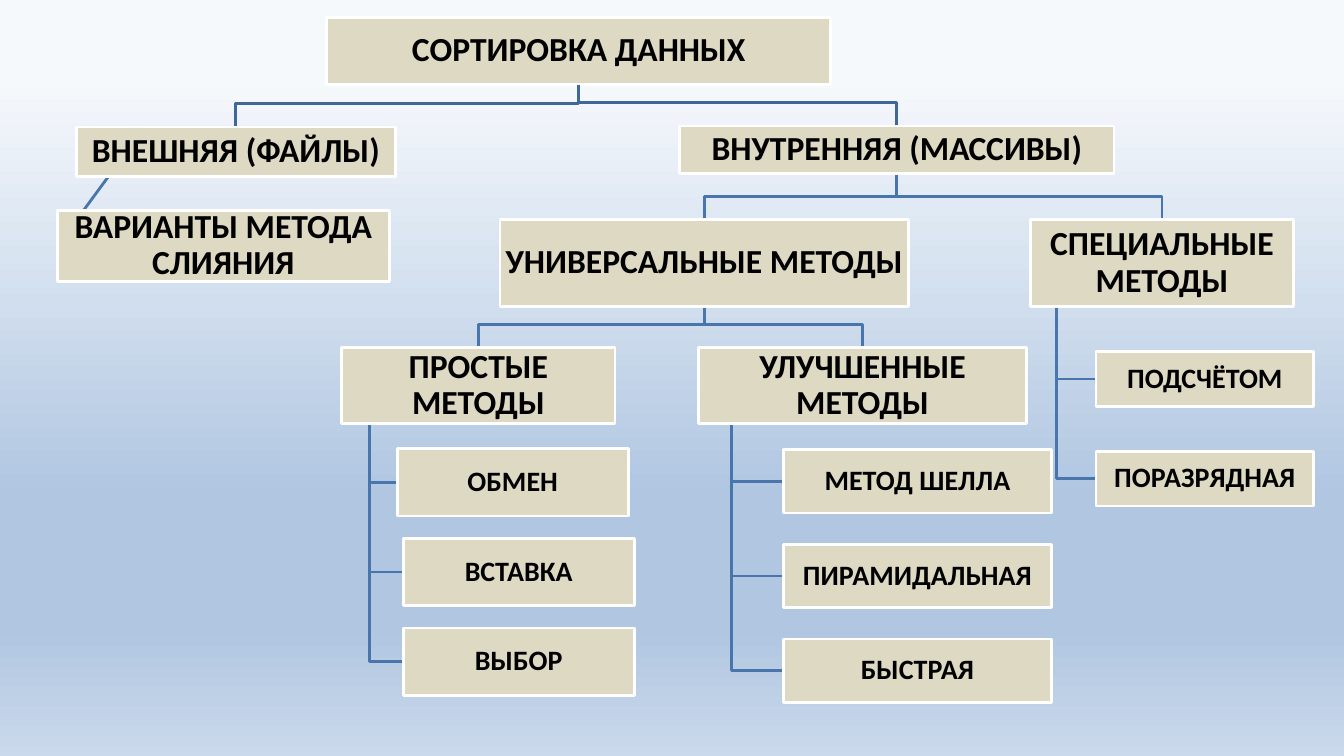
"""Build a slide with a tree of data sorting methods."""
from copy import deepcopy
from dataclasses import dataclass

from lxml import etree
from pptx import Presentation
from pptx.dml.color import RGBColor
from pptx.enum.shapes import MSO_CONNECTOR, MSO_SHAPE
from pptx.enum.text import MSO_ANCHOR, MSO_AUTO_SIZE, PP_ALIGN
from pptx.oxml.ns import qn
from pptx.util import Inches, Pt

RECT = MSO_SHAPE.RECTANGLE
STRAIGHT = MSO_CONNECTOR.STRAIGHT
CENTER = PP_ALIGN.CENTER
MIDDLE = MSO_ANCHOR.MIDDLE
NO_FIT = MSO_AUTO_SIZE.NONE

BEIGE = RGBColor(0xDD, 0xD9, 0xC3)
WHITE = RGBColor(0xFF, 0xFF, 0xFF)
BLACK = RGBColor(0x00, 0x00, 0x00)
BLUE = RGBColor(0x48, 0x75, 0xAC)
DARK_BLUE = RGBColor(0x3F, 0x67, 0x97)
GRADIENT = (
    (0.10, RGBColor(0xF6, 0xF9, 0xFC)),
    (0.66, RGBColor(0xB0, 0xC6, 0xE1)),
    (0.83, RGBColor(0xB0, 0xC6, 0xE1)),
    (1.00, RGBColor(0xCA, 0xD9, 0xEB)),
)
LINE_WIDTH = Pt(2)
FORK_GAP = 0.23
STEM_SHARE = 0.1


@dataclass(frozen=True)
class Node:
    """A box of the tree, in inches."""
    text: str
    left: float
    top: float
    width: float
    height: float
    size: int = 24

    @property
    def center(self) -> float:
        return self.left + self.width / 2

    @property
    def middle(self) -> float:
        return self.top + self.height / 2

    @property
    def bottom(self) -> float:
        return self.top + self.height

    @property
    def stem(self) -> float:
        return self.left + self.width * STEM_SHARE


@dataclass(frozen=True)
class Column:
    """Leaf boxes hanging at equal steps from a parent."""
    parent: Node
    texts: tuple[str, ...]
    lefts: tuple[float, ...]
    top: float
    step: float
    width: float
    height: float

    def leaves(self) -> list[Node]:
        return [Node(text, left, self.top + i * self.step, self.width, self.height, 20)
                for i, (text, left) in enumerate(zip(self.texts, self.lefts))]


SORTING = Node("СОРТИРОВКА ДАННЫХ", 3.24, 0.17, 5, 0.67)
EXTERNAL = Node("ВНЕШНЯЯ (ФАЙЛЫ)", 0.76, 1.26, 3.16, 0.49)
MERGE = Node("ВАРИАНТЫ МЕТОДА СЛИЯНИЯ", 0.57, 2.09, 3.29, 0.7)
INTERNAL = Node("ВНУТРЕННЯЯ (МАССИВЫ)", 6.74, 1.25, 4.31, 0.47)
UNIVERSAL = Node("УНИВЕРСАЛЬНЫЕ МЕТОДЫ", 4.96, 2.18, 4.05, 0.86)
SPECIAL = Node("СПЕЦИАЛЬНЫЕ МЕТОДЫ", 10.22, 2.18, 2.61, 0.86)
SIMPLE = Node("ПРОСТЫЕ МЕТОДЫ", 3.39, 3.45, 2.71, 0.75)
IMPROVED = Node("УЛУЧШЕННЫЕ МЕТОДЫ", 6.93, 3.45, 3.25, 0.75)

FORKS = (
    (SORTING, (EXTERNAL, INTERNAL), DARK_BLUE),
    (INTERNAL, (UNIVERSAL, SPECIAL), BLUE),
    (UNIVERSAL, (SIMPLE, IMPROVED), BLUE),
)
COLUMNS = (
    Column(SIMPLE, ("ОБМЕН", "ВСТАВКА", "ВЫБОР"), (3.94, 4, 4), 4.45, 0.89, 2.29, 0.67),
    Column(IMPROVED, ("МЕТОД ШЕЛЛА", "ПИРАМИДАЛЬНАЯ", "БЫСТРАЯ"),
           (7.77, 7.77, 7.77), 4.46, 0.94, 2.66, 0.63),
    Column(SPECIAL, ("ПОДСЧЁТОМ", "ПОРАЗРЯДНАЯ"), (10.87, 10.87), 3.49, 0.99, 2.16, 0.54),
)


def set_all(target, values: dict) -> None:
    for name, value in values.items():
        setattr(target, name, value)


def paint_background(s) -> None:
    fill = s.background.fill
    fill.gradient()
    fill.gradient_angle = 270
    stops = s.background._cSld.find(".//" + qn("a:gsLst"))
    for _ in GRADIENT[2:]:
        stops.append(deepcopy(stops[0]))
    for stop, (position, color) in zip(fill.gradient_stops, GRADIENT):
        stop.position = position
        stop.color.rgb = color


def draw_path(s, points: list[tuple[float, float]], color: RGBColor) -> None:
    start, *rest = [(Inches(x), Inches(y)) for x, y in points]
    builder = s.shapes.build_freeform(*start)
    builder.add_line_segments(rest, close=False)
    sp = builder.convert_to_shape()
    sp.shadow.inherit = False
    sp.fill.background()
    sp.line.color.rgb = color
    sp.line.width = LINE_WIDTH


def format_box(sp, node: Node) -> None:
    set_all(sp, {"left": Inches(node.left), "top": Inches(node.top),
                 "width": Inches(node.width), "height": Inches(node.height)})
    sp.fill.solid()
    sp.fill.fore_color.rgb = BEIGE
    sp.line.color.rgb = WHITE
    sp.line.width = LINE_WIDTH
    margin = Inches(0.02 if node.size == 24 else 0.01)
    tf = sp.text_frame
    set_all(tf, {"word_wrap": True, "auto_size": NO_FIT, "vertical_anchor": MIDDLE,
                 "margin_left": margin, "margin_right": margin,
                 "margin_top": margin, "margin_bottom": margin})
    p = tf.paragraphs[0]
    set_all(p, {"alignment": CENTER, "line_spacing": 0.9, "space_before": Pt(0)})
    r = p.add_run()
    r.text = node.text
    set_all(r.font, {"name": "Calibri", "size": Pt(node.size), "bold": True})
    r.font.color.rgb = BLACK


def draw_box(s, node: Node):
    sp = s.shapes.add_shape(RECT, 0, 0, 0, 0)
    sp.shadow.inherit = False
    format_box(sp, node)
    return sp


def draw_merge_branch(s) -> None:
    link = s.shapes.add_connector(STRAIGHT, Inches(EXTERNAL.stem), Inches(EXTERNAL.bottom),
                                  Inches(MERGE.left), Inches(MERGE.middle))
    link.line.color.rgb = BLUE
    link.line.width = LINE_WIDTH
    etree.SubElement(link._element.spPr, qn("a:effectLst"))
    link.end_connect(draw_box(s, MERGE), 1)


def main() -> None:
    prs = Presentation()
    set_all(prs, {"slide_width": Inches(13.33), "slide_height": Inches(7.5)})
    s = prs.slides.add_slide(prs.slide_layouts[5])
    paint_background(s)
    format_box(s.shapes.title, SORTING)
    for parent, children, color in FORKS:
        for child in children:
            fork = child.top - FORK_GAP
            draw_path(s, [(parent.center, parent.bottom), (parent.center, fork),
                          (child.center, fork), (child.center, child.top)], color)
    for column in COLUMNS:
        stem = column.parent.stem
        for leaf in column.leaves():
            draw_path(s, [(stem, column.parent.bottom), (stem, leaf.middle),
                          (leaf.left, leaf.middle)], BLUE)
    draw_merge_branch(s)
    for _, children, _ in FORKS:
        for child in children:
            draw_box(s, child)
    for column in COLUMNS:
        for leaf in column.leaves():
            draw_box(s, leaf)
    prs.save("out.pptx")


if __name__ == "__main__":
    main()
